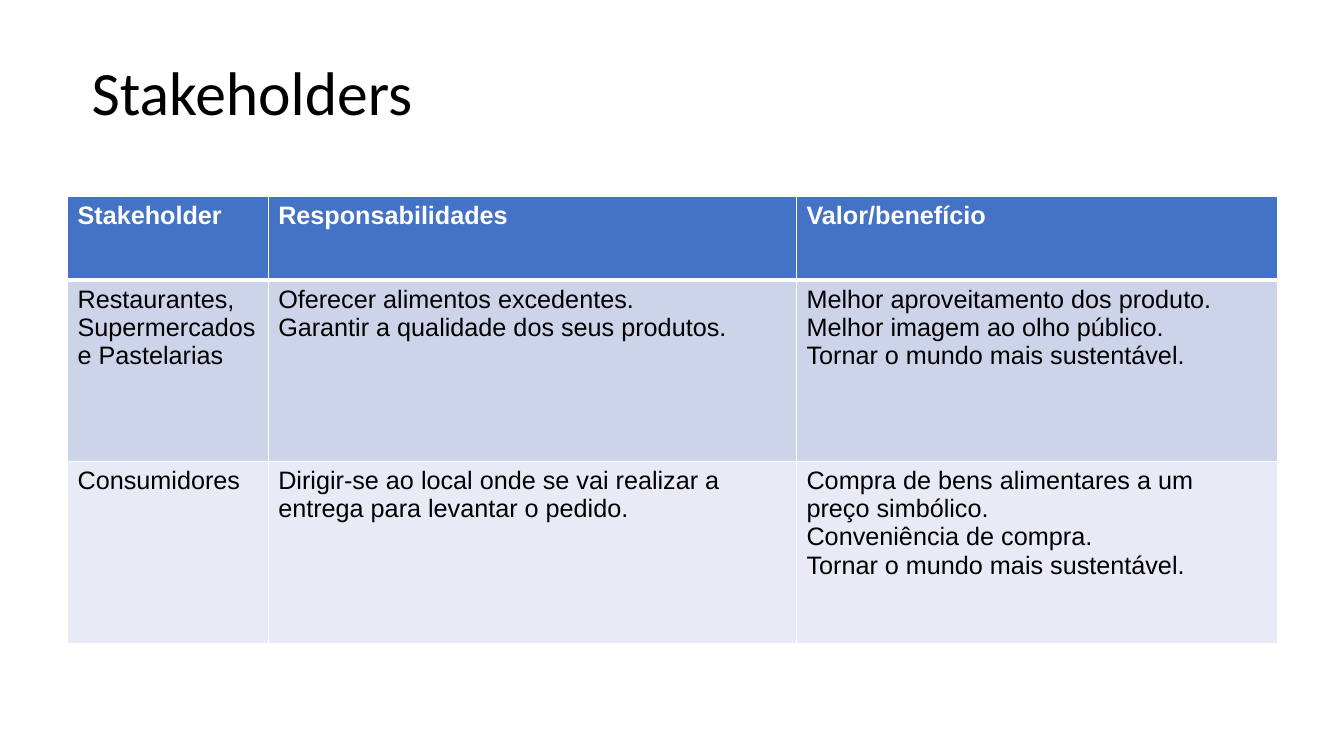
from lxml import etree
from pptx import Presentation
from pptx.dml.color import RGBColor
from pptx.enum.text import MSO_ANCHOR
from pptx.oxml.ns import qn
from pptx.util import Inches, Pt

COLORS = {
    "header": "4472C4",
    "odd_row": "CDD4EA",
    "even_row": "E8EBF5",
    "white": "FFFFFF",
    "black": "000000",
}
COLUMN_WIDTHS = [1.99, 5.24, 4.77]
ROW_HEIGHTS = [0.83, 1.8, 1.8]
ROW_FILLS = ["header", "odd_row", "even_row"]
STAKEHOLDERS = [
    ["Stakeholder", "Responsabilidades", "Valor/benefício"],
    [
        "Restaurantes, Supermercados e Pastelarias",
        "Oferecer alimentos excedentes.\nGarantir a qualidade dos seus produtos.",
        "Melhor aproveitamento dos produto.\nMelhor imagem ao olho público.\n"
        "Tornar o mundo mais sustentável.",
    ],
    [
        "Consumidores",
        "Dirigir-se ao local onde se vai realizar a entrega para levantar o pedido.",
        "Compra de bens alimentares a um\npreço simbólico.\n"
        "Conveniência de compra.\nTornar o mundo mais sustentável.",
    ],
]


def write_text(frame, text, *, font, size, color, bold=False, spacing=1.0):
    """Fill a text frame with one paragraph per line of text."""
    frame.word_wrap = True
    for index, line in enumerate(text.split("\n")):
        para = frame.add_paragraph() if index else frame.paragraphs[0]
        para.line_spacing = spacing
        span = para.add_run()
        span.text = line
        span.font.name = font
        span.font.size = Pt(size)
        span.font.bold = bold
        span.font.color.rgb = RGBColor.from_string(COLORS[color])


def draw_border(cell, side, width):
    properties = cell._tc.get_or_add_tcPr()
    line = etree.SubElement(properties, qn(f"a:ln{side}"), w=str(Pt(width)))
    fill = etree.SubElement(line, qn("a:solidFill"))
    etree.SubElement(fill, qn("a:srgbClr"), val=COLORS["white"])


deck = Presentation()
deck.slide_width = Inches(13.33)
deck.slide_height = Inches(7.5)
page = deck.slides.add_slide(deck.slide_layouts[6])

title = page.shapes.add_textbox(Inches(0.81), Inches(0.22), Inches(11.5), Inches(1.45))
title.text_frame.vertical_anchor = MSO_ANCHOR.MIDDLE
write_text(title.text_frame, "Stakeholders", font="Calibri", size=44,
           color="black", spacing=0.9)

table = page.shapes.add_table(
    len(ROW_HEIGHTS), len(COLUMN_WIDTHS), Inches(0.67), Inches(1.95),
    Inches(sum(COLUMN_WIDTHS)), Inches(sum(ROW_HEIGHTS))).table
for column, width in zip(table.columns, COLUMN_WIDTHS):
    column.width = Inches(width)

for row_index, (row, height) in enumerate(zip(table.rows, ROW_HEIGHTS)):
    row.height = Inches(height)
    is_header = row_index == 0
    for cell, text in zip(row.cells, STAKEHOLDERS[row_index]):
        write_text(cell.text_frame, text, font="Arial", size=18,
                   color="white" if is_header else "black", bold=is_header)
        for side in "LRTB":
            beside_header = (row_index, side) in [(0, "B"), (1, "T")]
            draw_border(cell, side, 3 if beside_header else 1)
        cell.fill.solid()
        cell.fill.fore_color.rgb = RGBColor.from_string(COLORS[ROW_FILLS[row_index]])

deck.save("out.pptx")
